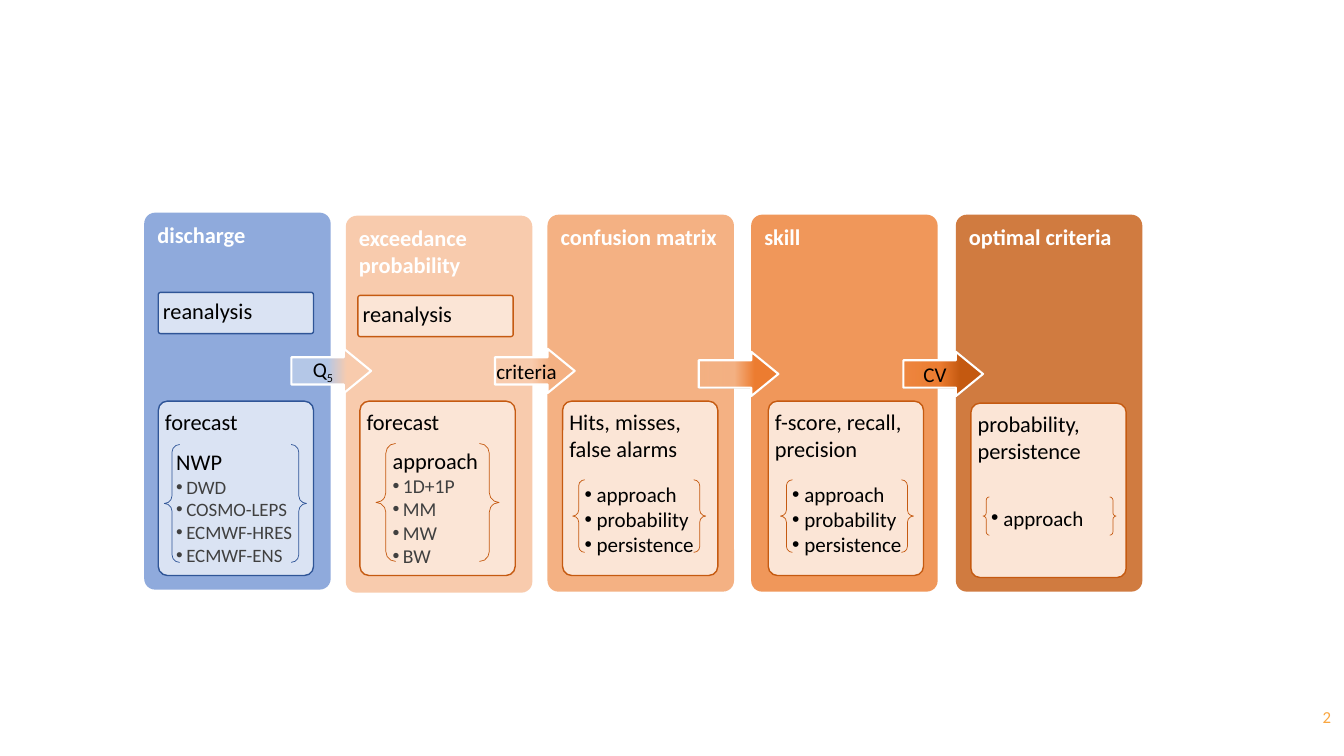
from lxml.etree import SubElement
from pptx import Presentation
from pptx.dml.color import RGBColor
from pptx.enum.shapes import MSO_SHAPE
from pptx.enum.text import MSO_ANCHOR, PP_ALIGN
from pptx.oxml.ns import qn
from pptx.util import Inches, Pt

FONT = "Calibri"
CORNER = 0.059
BLUE, PALE_BLUE = "2F5597", "DAE3F3"
RUST, PALE_ORANGE = "C55A11", "FBE5D6"
CRITERIA = ["approach", "probability", "persistence"]

PANELS = [
    (1.43, 2.11, "8FAADC", 100, "discharge"),
    (3.43, 2.14, "F8CBAD", 100, "exceedance probability"),
    (5.43, 2.13, "F4B183", 100, "confusion matrix"),
    (7.45, 2.13, "ED7D31", 80, "skill"),
    (9.48, 2.13, "C55A11", 80, "optimal criteria"),
]
BOXES = [
    (1.57, 2.9, 0.41, "reanalysis", PALE_BLUE, BLUE),
    (3.55, 2.93, 0.41, "reanalysis", PALE_ORANGE, RUST),
    (1.57, 3.98, 1.73, "forecast", PALE_BLUE, BLUE),
    (3.57, 3.98, 1.73, "forecast", PALE_ORANGE, RUST),
    (5.58, 3.98, 1.73, "Hits, misses, false alarms", PALE_ORANGE, RUST),
    (7.62, 3.98, 1.73, "f-score, recall, precision", PALE_ORANGE, RUST),
    (9.63, 4, 1.73, "probability, persistence", PALE_ORANGE, RUST),
]
ARROWS = [
    (2.89, 3.46, "B4C7E7", "F8CBAD", 100, "Q", "5"),
    (4.91, 3.46, "F8CBAD", "F4B183", 100, "criteria", ""),
    (6.93, 3.49, "F4B183", "ED7D31", 80, "", ""),
    (8.96, 3.49, "ED7D31", "C55A11", 60, "CV", ""),
]


def rgb(color):
    return RGBColor.from_string(color)


def add_alpha(clr, percent):
    if percent < 100:
        SubElement(clr, qn("a:alpha"), val=str(percent * 1000))


def add_shape(slide, kind, at, adj, fill, line=None, width=1, alpha=100):
    sp = slide.shapes.add_shape(kind, *[Inches(v) for v in at])
    sp.shadow.inherit = False
    for i, value in enumerate(adj):
        sp.adjustments[i] = value
    sp.fill.solid()
    sp.fill.fore_color.rgb = rgb(fill)
    add_alpha(sp.fill._xPr.find(".//" + qn("a:srgbClr")), alpha)
    if line:
        sp.line.color.rgb = rgb(line)
        sp.line.width = Pt(width)
    else:
        sp.line.fill.background()
    return sp


def set_frame(sp, insets=(0.1, 0.05, 0.1, 0.05), anchor=MSO_ANCHOR.TOP):
    tf = sp.text_frame
    tf.word_wrap = True
    tf.vertical_anchor = anchor
    tf.margin_left, tf.margin_top, tf.margin_right, tf.margin_bottom = map(Inches, insets)
    return tf


def write(p, text, size=16, color="000000", bold=False, align=PP_ALIGN.LEFT, indent=0, sub=""):
    p.alignment = align
    if indent:
        pPr = p._p.get_or_add_pPr()
        pPr.set("marL", str(Inches(indent)))
        pPr.set("indent", str(-Inches(indent)))
        SubElement(pPr, qn("a:buFont"), typeface="Arial")
        SubElement(pPr, qn("a:buChar"), char="•")
    for part in filter(None, (text, sub)):
        r = p.add_run()
        r.text = part
        r.font.name = FONT
        r.font.size = Pt(size)
        r.font.bold = bold
        r.font.color.rgb = rgb(color)
    if sub:
        r.font._element.set("baseline", "-25000")


def add_panel(slide, x, y, fill, alpha, title):
    sp = add_shape(slide, MSO_SHAPE.ROUNDED_RECTANGLE, (x, y, 1.85, 3.74), [CORNER], fill, alpha=alpha)
    write(set_frame(sp).paragraphs[0], title, color="FFFFFF", bold=True)


def add_box(slide, x, y, h, text, fill, line):
    sp = add_shape(slide, MSO_SHAPE.ROUNDED_RECTANGLE, (x, y, 1.54, h), [CORNER], fill, line)
    write(set_frame(sp, [0.04] * 4).paragraphs[0], text)


def add_braces(slide, at, items, heading="", adj=0.083, fill=PALE_ORANGE, line=RUST,
               left=0.04, size=15, color="000000", indent=0.12):
    sp = add_shape(slide, MSO_SHAPE.DOUBLE_BRACE, at, [adj], fill, line, 0.5)
    tf = set_frame(sp, (left, 0, 0, 0), MSO_ANCHOR.MIDDLE)
    p = tf.paragraphs[0]
    if heading:
        write(p, heading)
        p = tf.add_paragraph()
    for i, item in enumerate(items):
        write(p if i == 0 else tf.add_paragraph(), item, size, color, indent=indent)


def add_arrow(slide, x, y, start, end, alpha, text, sub):
    sp = add_shape(slide, MSO_SHAPE.RIGHT_ARROW, (x, y, 0.79, 0.44), [0.617, 0.611], start, "FFFFFF", 1.5)
    sp.fill.gradient()
    sp.fill.gradient_angle = 0
    stops = sp.fill._xPr.find(".//" + qn("a:gsLst"))
    for gs in list(stops):
        stops.remove(gs)
    for pos, color, opacity in [(0, start, alpha), (45, start, 100), (70, end, 100), (100, end, 100)]:
        gs = SubElement(stops, qn("a:gs"), pos=str(pos * 1000))
        add_alpha(SubElement(gs, qn("a:srgbClr"), val=color), opacity)
    tf = set_frame(sp, [0] * 4, MSO_ANCHOR.MIDDLE)
    write(tf.paragraphs[0], text, 15, align=PP_ALIGN.CENTER, sub=sub)


def add_page_number(slide, number):
    sp = slide.shapes.add_textbox(Inches(12.9), Inches(6.91), Inches(0.4), Inches(0.4))
    tf = set_frame(sp, anchor=MSO_ANCHOR.MIDDLE)
    write(tf.paragraphs[0], number, 12, "FAA740", align=PP_ALIGN.RIGHT)


def main():
    prs = Presentation()
    prs.slide_width, prs.slide_height = Inches(13.33), Inches(7.5)
    slide = prs.slides.add_slide(prs.slide_layouts[6])
    for panel in PANELS:
        add_panel(slide, *panel)
    for box in BOXES:
        add_box(slide, *box)
    add_braces(slide, (1.63, 4.41, 1.41, 1.17), ["DWD", "COSMO-LEPS", "ECMWF-HRES", "ECMWF-ENS"],
               "NWP", 0.065, PALE_BLUE, BLUE, 0.02, 13.5, "404040", 0.1)
    add_braces(slide, (3.73, 4.4, 1.22, 1.17), ["1D+1P", "MM", "MW", "BW"],
               "approach", size=14, color="404040", indent=0.1)
    for x in (5.68, 7.74):
        add_braces(slide, (x, 4.76, 1.32, 0.72), CRITERIA)
    add_braces(slide, (9.75, 4.93, 1.32, 0.38), CRITERIA[:1])
    for arrow in ARROWS:
        add_arrow(slide, *arrow)
    add_page_number(slide, "2")
    prs.save("out.pptx")


if __name__ == "__main__":
    main()
